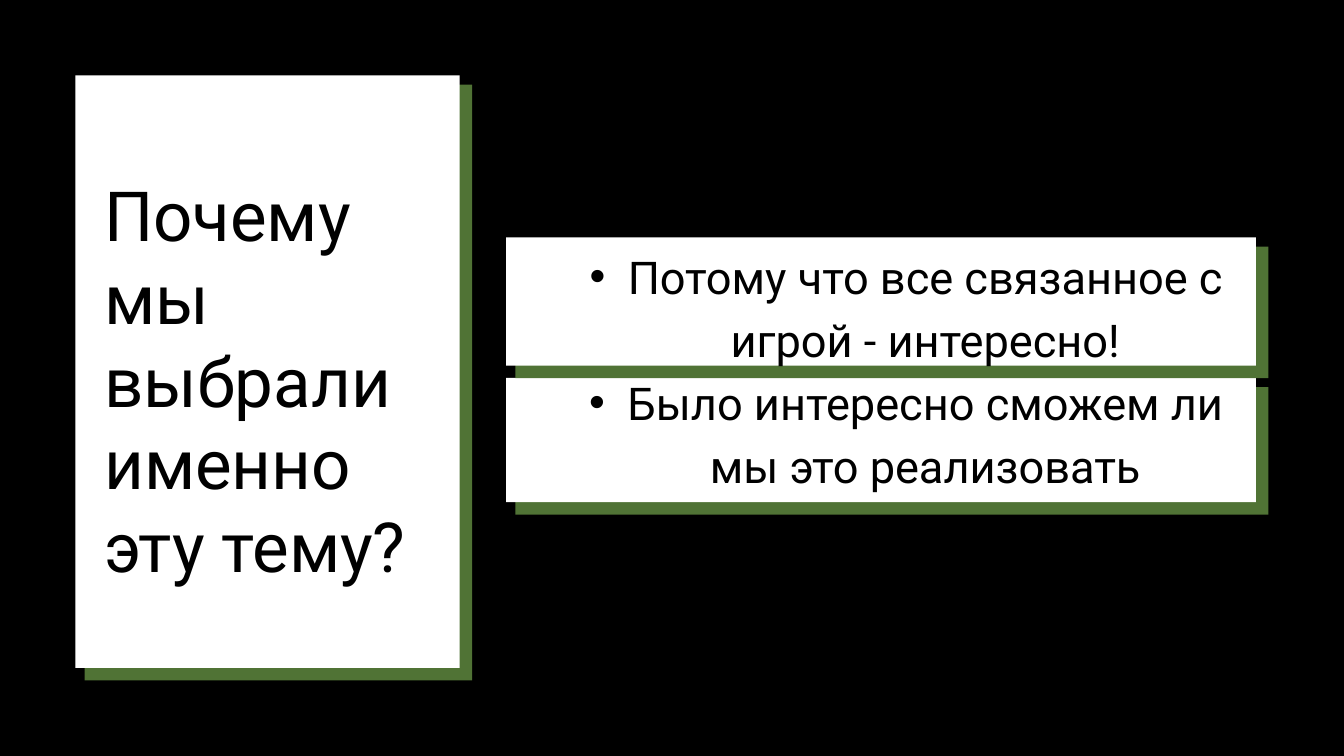
from pptx import Presentation
from pptx.dml.color import RGBColor
from pptx.enum import shapes, text
from pptx.oxml.ns import qn
from pptx.util import Pt
from lxml import etree

QUESTION = "Почему мы выбрали именно эту тему?"
REASONS = [
    "Потому что все связанное с игрой - интересно!",
    "Было интересно сможем ли мы это реализовать",
]

COLOURS = {"background": "000000", "card": "FFFFFF", "shadow": "507335", "ink": "000000"}
FONT = "Roboto"

# left, top, width, height in points
QUESTION_CARD = (80.7, 80.7, 411.7, 635)
LOWER_CARD = (542.2, 404.9, 803.5, 133.2)
UPPER_CARD = (542.2, 254.2, 803.5, 137.5)
QUESTION_BOX = (111.6, 185, 363.6, 527)
REASONS_BOX = (553.7, 257, 793.4, 267.8)
SHADOW_OFFSET, SHADOW_GROWTH = 10, 3.4
BULLET_INDENT = 41


def colour(name):
    return RGBColor.from_string(COLOURS[name])


def add_panel(slide, box, fill):
    panel = slide.shapes.add_shape(shapes.MSO_SHAPE.RECTANGLE, *map(Pt, box))
    panel.shadow.inherit = False
    panel.fill.solid()
    panel.fill.fore_color.rgb = colour(fill)
    panel.line.fill.background()


def add_card(slide, box):
    """Add a white card over its hard, slightly larger shadow."""
    left, top, width, height = box
    add_panel(slide, (left + SHADOW_OFFSET, top + SHADOW_OFFSET,
                      width + SHADOW_GROWTH, height + SHADOW_GROWTH), "shadow")
    add_panel(slide, box, "card")


def fill_placeholder(slide, placeholder, box, lines, size, spacing, align):
    """Place a placeholder in front of the cards and write one paragraph per line."""
    slide.shapes._spTree.append(placeholder._element)
    placeholder.left, placeholder.top, placeholder.width, placeholder.height = map(Pt, box)
    frame = placeholder.text_frame
    frame.margin_left = frame.margin_top = frame.margin_right = frame.margin_bottom = 0
    frame.word_wrap = True
    frame.auto_size = text.MSO_AUTO_SIZE.NONE
    frame.vertical_anchor = text.MSO_ANCHOR.TOP
    for index, line in enumerate(lines):
        paragraph = frame.add_paragraph() if index else frame.paragraphs[0]
        paragraph.alignment = align
        paragraph.line_spacing = Pt(spacing)
        paragraph.space_before = paragraph.space_after = Pt(0)
        run = paragraph.add_run()
        run.text = line
        run.font.name = FONT
        run.font.size = Pt(size)
        run.font.color.rgb = colour("ink")
    return frame.paragraphs


def add_bullet(paragraph):
    paragraph.level = 1
    properties = paragraph._p.get_or_add_pPr()
    properties.set("marL", str(Pt(2 * BULLET_INDENT)))
    properties.set("indent", str(Pt(-BULLET_INDENT)))
    etree.SubElement(properties, qn("a:buFont")).set("typeface", "Arial")
    etree.SubElement(properties, qn("a:buChar")).set("char", "•")


def main():
    deck = Presentation()
    deck.slide_width, deck.slide_height = Pt(1440), Pt(810)
    slide = deck.slides.add_slide(deck.slide_layouts[1])
    slide.background.fill.solid()
    slide.background.fill.fore_color.rgb = colour("background")

    for card in (QUESTION_CARD, LOWER_CARD, UPPER_CARD):
        add_card(slide, card)

    title, body = slide.shapes.title, slide.placeholders[1]
    fill_placeholder(slide, title, QUESTION_BOX, [QUESTION], 74, 88.7, text.PP_ALIGN.LEFT)
    reasons = fill_placeholder(slide, body, REASONS_BOX, REASONS, 48.4, 67.7,
                               text.PP_ALIGN.CENTER)
    for reason in reasons:
        add_bullet(reason)

    deck.save("out.pptx")


if __name__ == "__main__":
    main()
